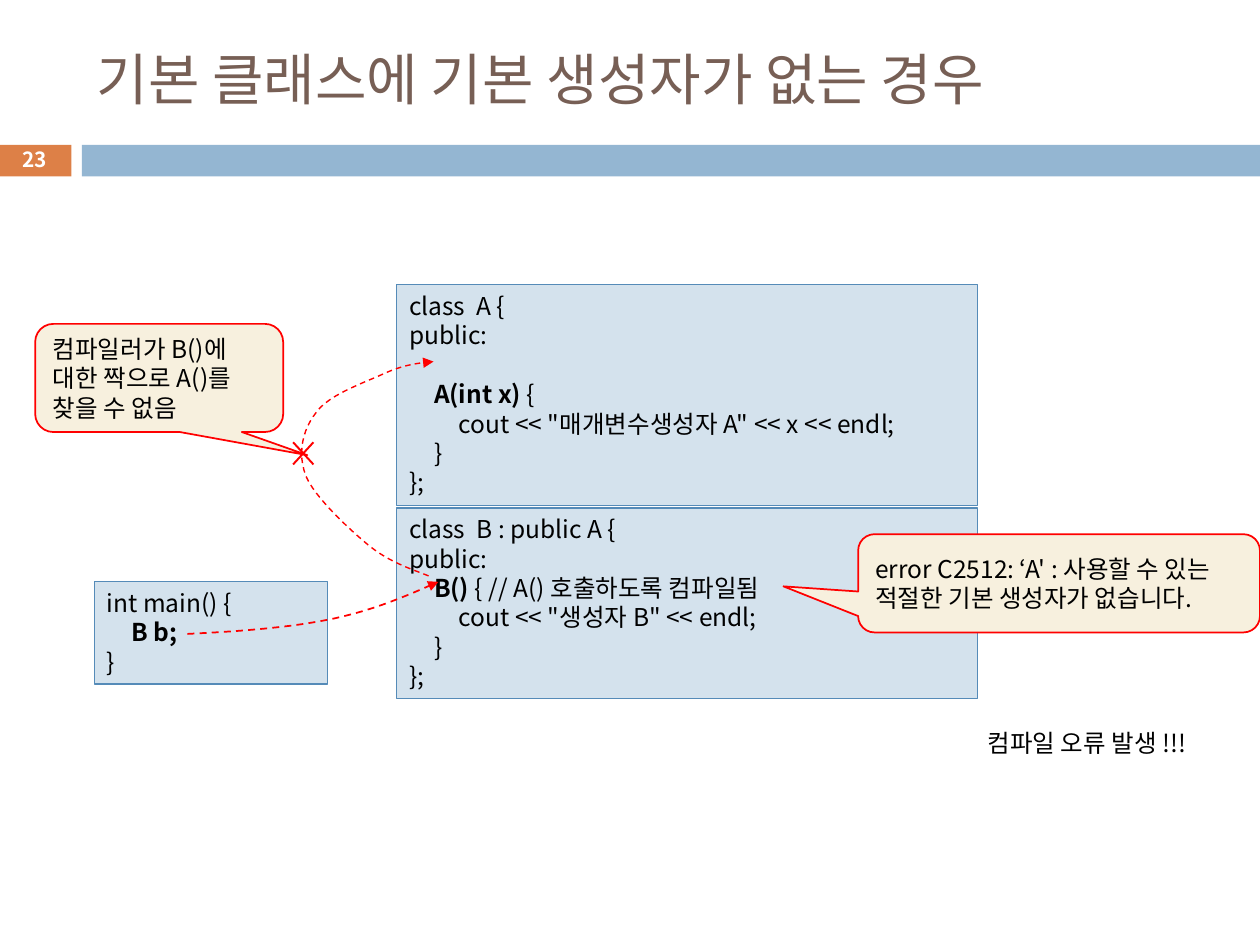
from lxml import etree
from pptx import Presentation
from pptx.dml.color import RGBColor
from pptx.enum.dml import MSO_LINE
from pptx.enum.shapes import MSO_SHAPE
from pptx.enum.text import MSO_ANCHOR, PP_ALIGN
from pptx.oxml.ns import qn
from pptx.util import Cm, Pt

RECT = MSO_SHAPE.RECTANGLE
CALLOUT = MSO_SHAPE.ROUNDED_RECTANGULAR_CALLOUT
CROSS = MSO_SHAPE.MATH_MULTIPLY
TOP, MIDDLE = MSO_ANCHOR.TOP, MSO_ANCHOR.MIDDLE
LEFT, CENTER = PP_ALIGN.LEFT, PP_ALIGN.CENTER
DASH = MSO_LINE.DASH

FONT = "Noto Sans CJK KR"
CODE_SIZE = 14
BLANK_LINE = 16.8
TAB_STOPS = (0.5, 1)
COLORS = {
    "orange": "DD8047", "bar": "94B6D2", "title": "775F55",
    "code": "D4E2ED", "border": "558BB8", "note": "F7F0DE",
    "red": "FF0000", "black": "000000", "white": "FFFFFF",
}

CLASS_A = [
    ["class  A {"], ["public:"], [],
    ["\t", ("A(int x) ", True), "{"],
    ['\t\tcout << "매개변수생성자 A" << x << endl;'],
    ["\t}"], ["};"],
]
CLASS_B = [
    ["class  B : public A {"], ["public:"],
    ["\t", ("B() ", True), "{ // A() 호출하도록 컴파일됨"],
    ['\t\tcout << "생성자 B" << endl;'],
    ["\t}"], ["};"],
]
MAIN = [["int main() {"], ["\t", ("B b;", True)], ["}"]]

CALL_A = [
    (8.64, 11.61), (8.26, 11.46), (7.85, 11.33), (7.44, 11),
    (7.04, 10.67), (6.35, 10.03), (6.17, 9.6),
    (5.99, 9.14), (6.1, 8.66), (6.38, 8.31),
    (6.63, 7.95), (7.39, 7.7), (7.77, 7.52),
    (8.18, 7.34), (8.46, 7.32), (8.74, 7.29),
]
CALL_B = [
    (3.78, 12.78), (4.83, 12.73), (5.89, 12.65), (6.73, 12.47),
    (7.57, 12.29), (8.2, 12.01), (8.84, 11.73),
]


def rgb(name):
    """Return a palette colour."""
    return RGBColor.from_string(COLORS[name])


def add_tabs(p):
    """Give a code line its indent stops."""
    tabs = etree.SubElement(p._p.get_or_add_pPr(), qn("a:tabLst"))
    for stop in TAB_STOPS:
        etree.SubElement(tabs, qn("a:tab"), pos=str(Cm(stop)), algn="l")


def write(sp, lines, size=CODE_SIZE, color="black", bold=False,
          anchor=MIDDLE, align=LEFT, wrap=True):
    """Write lines of runs; an empty line becomes space before the next."""
    tf = sp.text_frame
    tf.word_wrap = wrap
    tf.vertical_anchor = anchor
    p, gap = None, 0
    for line in lines:
        if not line:
            gap += BLANK_LINE
            continue
        p = tf.add_paragraph() if p else tf.paragraphs[0]
        p.alignment = align
        if gap:
            p.space_before = Pt(gap)
            gap = 0
        if line[0].startswith("\t"):
            add_tabs(p)
        for part in line:
            text, strong = (part, bold) if isinstance(part, str) else part
            r = p.add_run()
            r.text = text
            r.font.name = FONT
            r.font.size = Pt(size)
            r.font.bold = strong
            r.font.color.rgb = rgb(color)
            etree.SubElement(r.font._element, qn("a:ea"), typeface=FONT)


def add_shape(s, kind, box, fill, line=None, width=1, adjust=()):
    """Add a flat preset shape."""
    sp = s.shapes.add_shape(kind, *map(Cm, box))
    sp.shadow.inherit = False
    sp.fill.solid()
    sp.fill.fore_color.rgb = rgb(fill)
    if line:
        sp.line.color.rgb = rgb(line)
        sp.line.width = Pt(width)
    else:
        sp.line.fill.background()
    for i, value in enumerate(adjust):
        sp.adjustments[i] = value
    return sp


def add_text(s, box, text, **style):
    """Add a text box with one line."""
    write(s.shapes.add_textbox(*map(Cm, box)), [[text]], **style)


def add_code(s, box, lines):
    """Add a box of source code."""
    write(add_shape(s, RECT, box, "code", "border", 0.75), lines, anchor=TOP)


def add_callout(s, box, tip, lines):
    """Add a rounded callout whose tip is relative to its centre."""
    sp = add_shape(s, CALLOUT, box, "note", "red", adjust=(*tip, 0.167))
    write(sp, lines)


def bezier(points, steps=12):
    """Yield points along a chain of cubic curves."""
    for i in range(0, len(points) - 1, 3):
        for k in range(1, steps + 1):
            t = k / steps
            weights = ((1 - t) ** 3, 3 * t * (1 - t) ** 2,
                       3 * t * t * (1 - t), t ** 3)
            curve = list(zip(weights, points[i:i + 4]))
            yield tuple(Cm(sum(w * q[axis] for w, q in curve))
                        for axis in (0, 1))


def add_curve(s, points, width):
    """Add a dashed red curve with an arrowhead at its end."""
    start_x, start_y = map(Cm, points[0])
    builder = s.shapes.build_freeform(start_x, start_y)
    builder.add_line_segments(bezier(points), close=False)
    sp = builder.convert_to_shape()
    sp.shadow.inherit = False
    sp.fill.background()
    sp.line.color.rgb = rgb("red")
    sp.line.width = Pt(width)
    sp.line.dash_style = DASH
    etree.SubElement(sp.line._get_or_add_ln(), qn("a:tailEnd"),
                     type="triangle")


def main():
    """Build the slide."""
    prs = Presentation()
    prs.slide_width, prs.slide_height = Cm(25.4), Cm(19.05)
    s = prs.slides.add_slide(prs.slide_layouts[6])

    add_shape(s, RECT, (-0.03, 2.92, 1.47, 0.64), "orange")
    add_shape(s, RECT, (1.65, 2.92, 23.75, 0.64), "bar")
    add_text(s, (1.7, 0.64, 22.66, 1.88),
             "기본 클래스에 기본 생성자가 없는 경우", size=32, color="title")
    add_text(s, (-0.03, 2.87, 1.47, 0.69), "23", size=11.9, color="white",
             bold=True, align=CENTER)

    add_code(s, (8, 5.74, 11.71, 4.45), CLASS_A)
    add_code(s, (8, 10.24, 11.71, 3.84), CLASS_B)
    add_code(s, (1.9, 11.73, 4.7, 2.06), MAIN)

    add_curve(s, CALL_A, 0.79)
    add_callout(s, (0.71, 6.53, 5, 2.18), (0.597, 0.714),
                [["컴파일러가 B()에 대한 짝으로 A()를 찾을 수 없음"]])
    add_shape(s, CROSS, (5.72, 8.71, 0.79, 0.86), "red", adjust=(0.05,))
    add_callout(s, (17.3, 10.77, 8.1, 1.98), (-0.686, 0.031),
                [["error C2512: ‘A' : 사용할 수 있는"],
                 ["적절한 기본 생성자가 없습니다."]])
    add_text(s, (19.66, 14.55, 4.95, 0.86), "컴파일 오류 발생 !!!",
             anchor=TOP, wrap=False)
    add_curve(s, CALL_B, 1)

    prs.save("out.pptx")


if __name__ == "__main__":
    main()
